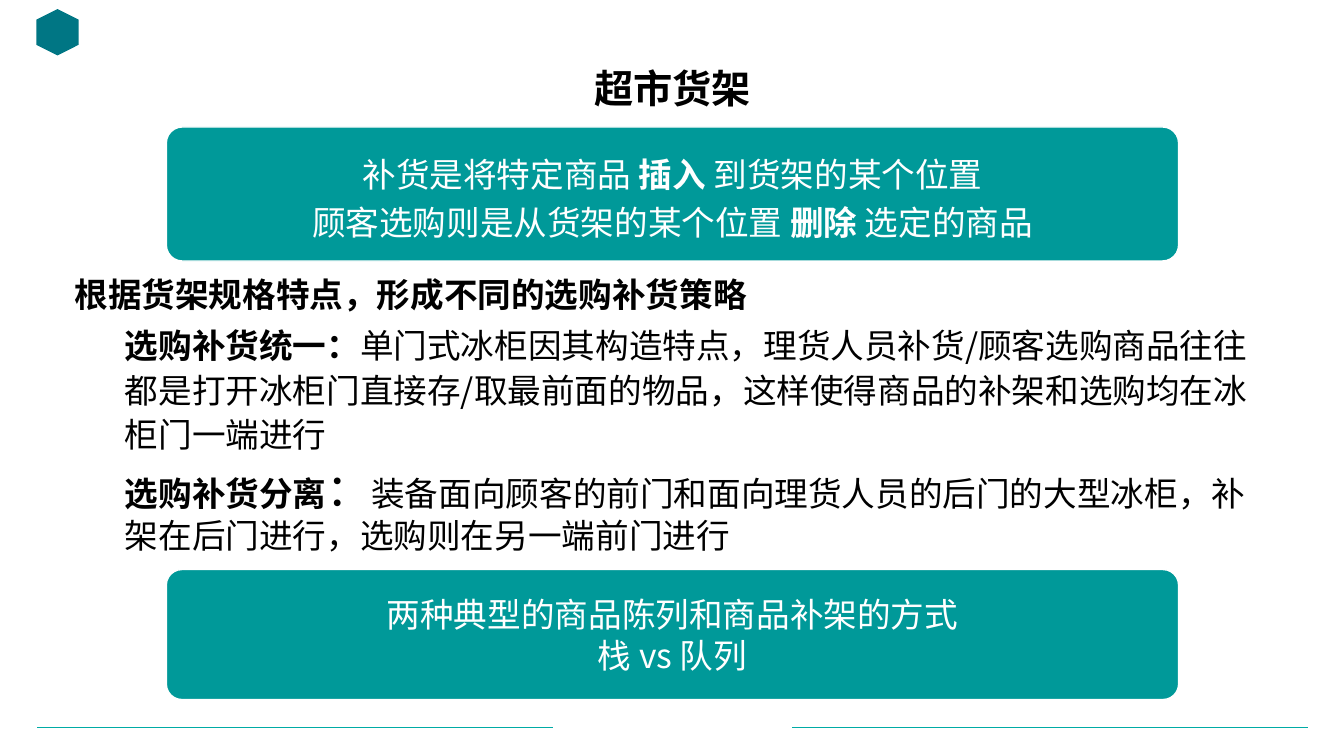
from dataclasses import dataclass

from lxml.etree import SubElement
from pptx import Presentation
from pptx.dml.color import RGBColor
from pptx.enum.shapes import MSO_CONNECTOR, MSO_SHAPE
from pptx.enum.text import MSO_ANCHOR, PP_ALIGN
from pptx.oxml.ns import qn
from pptx.util import Inches, Pt

CJK_FONT = "Noto Sans CJK SC"
TEAL, BRIGHT_TEAL, WHITE, BLACK = "009999", "00ABA5", "FFFFFF", "000000"


@dataclass
class Span:
    text: str
    bold: bool = False
    size: float = 24
    face: str = CJK_FONT


@dataclass
class Line:
    spans: list[Span]
    spacing: float = 1.0
    before: float = 0
    indent: float = 0


@dataclass
class Panel:
    top: float
    height: float
    lines: list[Line]


def rgb(value: str) -> RGBColor:
    return RGBColor.from_string(value)


def apply(target, formats: dict) -> None:
    for name, value in formats.items():
        setattr(target, name, value)


def write(frame, lines: list[Line], color: str, align, anchor, inset: tuple[float, float]) -> None:
    side, edge = (Inches(value) for value in inset)
    apply(frame, {"word_wrap": True, "vertical_anchor": anchor, "margin_left": side,
                  "margin_right": side, "margin_top": edge, "margin_bottom": edge})
    for index, line in enumerate(lines):
        paragraph = frame.add_paragraph() if index else frame.paragraphs[0]
        apply(paragraph, {"alignment": align, "line_spacing": line.spacing,
                          "space_before": Pt(line.before)})
        if line.indent:
            paragraph.level = 1
            properties = paragraph._p.get_or_add_pPr()
            properties.set("marL", str(Inches(line.indent)))
            properties.set("indent", "0")
        for span in line.spans:
            run = paragraph.add_run()
            run.text = span.text
            apply(run.font, {"size": Pt(span.size), "bold": span.bold, "name": span.face})
            run.font.color.rgb = rgb(color)
            SubElement(run.font._element, qn("a:ea")).set("typeface", span.face)


def draw_panel(shapes, panel: Panel) -> None:
    box = shapes.add_shape(MSO_SHAPE.ROUNDED_RECTANGLE, Inches(1.65), Inches(panel.top),
                           Inches(10.04), Inches(panel.height))
    box.shadow.inherit = False
    box.adjustments[0] = 0.12
    box.fill.solid()
    box.fill.fore_color.rgb = rgb(TEAL)
    box.line.color.rgb = rgb(WHITE)
    box.line.width = Pt(1)
    write(box.text_frame, panel.lines, WHITE, PP_ALIGN.CENTER, MSO_ANCHOR.MIDDLE, (0.17, 0.17))


def draw_footer_rule(shapes, left: float) -> None:
    rule = shapes.add_connector(MSO_CONNECTOR.STRAIGHT, Inches(left), Inches(7.22),
                                Inches(left + 5.11), Inches(7.22))
    rule.line.color.rgb = rgb(BRIGHT_TEAL)
    rule.line.width = Pt(0.5)
    SubElement(rule._element.spPr, qn("a:effectLst"))


def draw_emblem(shapes) -> None:
    emblem = shapes.add_shape(MSO_SHAPE.HEXAGON, Inches(0.34), Inches(0.11),
                              Inches(0.46), Inches(0.42))
    emblem.rotation = 90
    emblem.shadow.inherit = False
    emblem.fill.solid()
    emblem.fill.fore_color.rgb = rgb("007684")
    emblem.line.fill.background()


STRATEGIES = [
    Line([Span("根据货架规格特点，形成不同的选购补货策略", True)], 1.1),
    Line([Span("选购补货统一：", True),
          Span("单门式冰柜因其构造特点，理货人员补货/顾客选购商品往往都是打开冰柜门直接存/取最前面的物品，"
               "这样使得商品的补架和选购均在冰柜门一端进行")], 1.1, 5, 0.5),
    Line([Span("选购补货分离", True), Span("：", size=32, face="Calibri"),
          Span("装备面向顾客的前门和面向理货人员的后门的大型冰柜，补架在后门进行，选购则在另一端前门进行")],
         1.0, 5, 0.5),
]

PANELS = [
    Panel(1.26, 1.33, [
        Line([Span("补货是将特定商品 "), Span("插入 ", True), Span("到货架的某个位置")], 1.2),
        Line([Span("顾客选购则是从货架的某个位置 "), Span("删除 ", True), Span("选定的商品")], 1.2),
    ]),
    Panel(5.65, 1.29, [
        Line([Span("两种典型的商品陈列和商品补架的方式")]),
        Line([Span("栈 vs 队列")]),
    ]),
]


def main() -> None:
    deck = Presentation()
    apply(deck, {"slide_width": Inches(13.33), "slide_height": Inches(7.5)})
    slide = deck.slides.add_slide(deck.slide_layouts[5])
    shapes = slide.shapes

    for left in (0.37, 7.86):
        draw_footer_rule(shapes, left)
    draw_emblem(shapes)

    title = shapes.title
    apply(title, {"left": Inches(0.92), "top": Inches(0.62),
                  "width": Inches(11.5), "height": Inches(0.57)})
    write(title.text_frame, [Line([Span("超市货架", True, 28)], 0.9)], BLACK,
          PP_ALIGN.CENTER, MSO_ANCHOR.MIDDLE, (0.1, 0.05))

    strategies = shapes.add_textbox(Inches(0.64), Inches(2.63), Inches(12.09), Inches(4.29))
    write(strategies.text_frame, STRATEGIES, BLACK, PP_ALIGN.LEFT, MSO_ANCHOR.TOP, (0.1, 0.05))

    for panel in PANELS:
        draw_panel(shapes, panel)

    deck.save("out.pptx")


if __name__ == "__main__":
    main()
